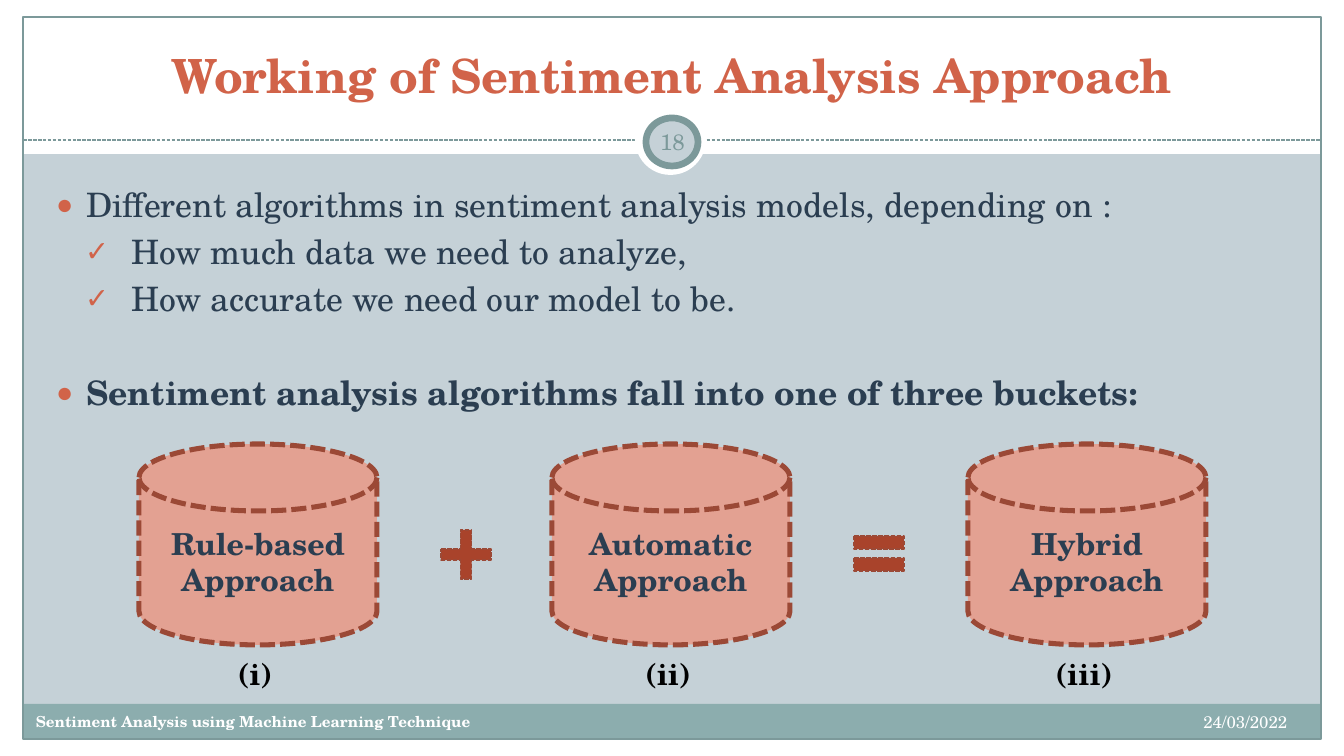
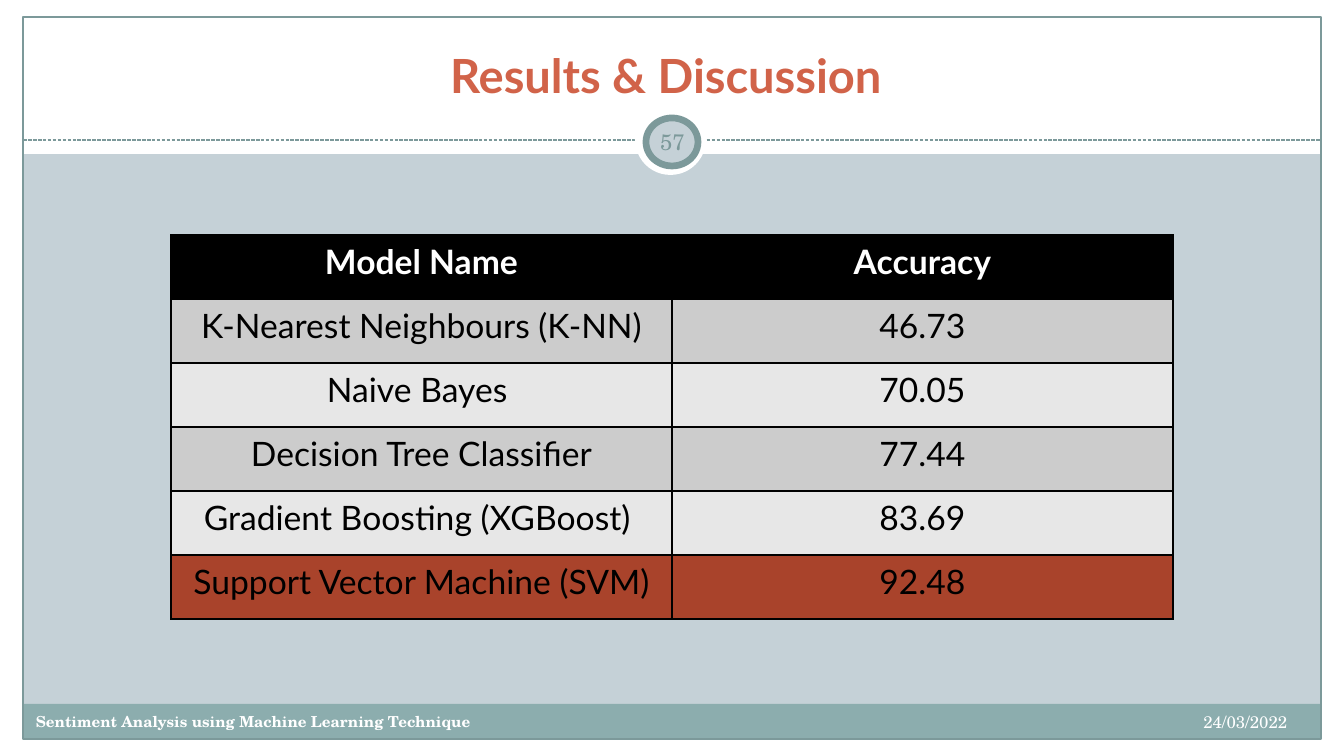
from lxml import etree
from pptx import Presentation
from pptx import util as u
from pptx.dml.color import RGBColor
from pptx.enum import dml, shapes, text
from pptx.oxml import ns

SERIF, SANS = "TeX Gyre Schola", "Lato"
PAPER, WHITE, BLACK = "C5D1D7", "FFFFFF", "000000"
TEAL, BAND, INK = "7C999A", "8CADAE", "2B3E51"
CORAL, BRICK, RUST, PINK = "D16349", "A9432B", "9B4936", "E3A192"
GREY, PALE = "CCCCCC", "E7E7E7"

FOOT = "Sentiment Analysis using Machine Learning Technique"
DATE = "24/03/2022"
DOT, TICK = ("●", 30, 30), ("✓", 75, 46)
POINTS = [
    (DOT, 4, False, "Different algorithms in sentiment analysis models, depending on :"),
    (TICK, 4, False, "How much data we need to analyze,"),
    (TICK, 4, False, "How accurate we need our model to be."),
    (DOT, 32, True, "Sentiment analysis algorithms fall into one of three buckets:"),
]
DISKS = [
    (139, ["Rule-based Approach"], "(i)"),
    (552, ["Automatic", "Approach"], "(ii)"),
    (968, ["Hybrid", "Approach"], "(iii)"),
]
SIGNS = [
    ("MATH_PLUS", (432, 521, 68, 67), [0.168]),
    ("MATH_EQUAL", (845, 516, 68, 75), [0.175, 0.118]),
]
ROWS = [
    ("Model Name", "Accuracy"),
    ("K-Nearest Neighbours (K-NN)", "46.73"),
    ("Naive Bayes ", "70.05"),
    ("Decision Tree Classifier", "77.44"),
    ("Gradient Boosting (XGBoost) ", "83.69"),
    ("Support Vector Machine (SVM)", "92.48"),
]
FILLS = [BLACK, GREY, PALE, GREY, PALE, BRICK]
PANELS = [
    ("RECTANGLE", (0, 739, 1344, 17), WHITE, None),
    ("RECTANGLE", (0, 0, 1344, 154), WHITE, None),
    ("RECTANGLE", (0, 0, 23, 756), WHITE, None),
    ("RECTANGLE", (1322, 0, 22, 756), WHITE, None),
    ("RECTANGLE", (22, 704, 1298, 34), BAND, None),
    ("RECTANGLE", (23, 17, 1298, 722), None, (TEAL, 0.75)),
]
BADGE = [
    ("OVAL", (635, 104, 71, 71), WHITE, None),
    ("OVAL", (646, 118, 52, 48), PAPER, (TEAL, 4)),
]

LEFT, MID, RIGHT = text.PP_ALIGN.LEFT, text.PP_ALIGN.CENTER, text.PP_ALIGN.RIGHT
DASH = dml.MSO_LINE.SQUARE_DOT


def px(n):
    return u.Emu(round(n * 914400 / 121))


def box(rect):
    return [px(n) for n in rect]


def rgb(code):
    return RGBColor.from_string(code)


def place(item, rect):
    item.left, item.top, item.width, item.height = box(rect)


def write(par, words, size, color, bold=False, face=SERIF, align=LEFT):
    par.alignment = align
    run = par.add_run()
    run.text = words
    font = run.font
    font.name, font.size, font.bold = face, u.Pt(size), bold
    font.color.rgb = rgb(color)


def stroke(line, color, width, dash=None):
    line.color.rgb = rgb(color)
    line.width = u.Pt(width)
    if dash:
        line.dash_style = dash


def shape(slide, kind, rect, fill, edge=None):
    form = slide.shapes.add_shape(getattr(shapes.MSO_SHAPE, kind), *box(rect))
    form.shadow.inherit = False
    if fill:
        form.fill.solid()
        form.fill.fore_color.rgb = rgb(fill)
    else:
        form.fill.background()
    if edge:
        stroke(form.line, *edge)
    else:
        form.line.fill.background()
    return form


def label(slide, rect, words, size, color, **look):
    frame = slide.shapes.add_textbox(*box(rect)).text_frame
    frame.word_wrap = True
    write(frame.paragraphs[0], words, size, color, **look)
    return frame


def dress(layout, slide):
    layout.background.fill.solid()
    layout.background.fill.fore_color.rgb = rgb(PAPER)
    place(layout.placeholders[0], (44, 25, 1255, 84))
    place(layout.placeholders[1], (44, 178, 1255, 519))
    parts = [shape(slide, *panel) for panel in PANELS]
    rule = slide.shapes.add_connector(
        shapes.MSO_CONNECTOR.STRAIGHT, *box((23, 140, 1321, 140)))
    stroke(rule.line, TEAL, 0.75, DASH)
    etree.SubElement(rule.element.spPr, ns.qn("a:effectLst"))
    parts.append(rule)
    parts += [shape(slide, *ring) for ring in BADGE]
    for spot, part in enumerate(parts, 2):
        layout.shapes.element.insert(spot, part.element)


def head(slide, words, face, page):
    frame = slide.shapes.title.text_frame
    frame.vertical_anchor = text.MSO_ANCHOR.BOTTOM
    frame.auto_size = text.MSO_AUTO_SIZE.NONE
    write(frame.paragraphs[0], words, 28, CORAL, True, face, MID)
    label(slide, (1079, 706, 220, 40), DATE, 10, WHITE, align=RIGHT)
    label(slide, (24, 706, 1033, 40), FOOT, 9, WHITE, bold=True)
    num = label(slide, (641, 118, 63, 47), page, 13.3, TEAL, align=MID)
    num.vertical_anchor = text.MSO_ANCHOR.MIDDLE
    num.margin_left = num.margin_right = px(6)


def bullet(par, mark, left, hang):
    prop = par._p.get_or_add_pPr()
    prop.set("marL", str(px(left)))
    prop.set("indent", str(-px(hang)))
    tint = etree.SubElement(prop, ns.qn("a:buClr"))
    etree.SubElement(tint, ns.qn("a:srgbClr"), val=CORAL)
    etree.SubElement(prop, ns.qn("a:buSzPct"), val="85000")
    etree.SubElement(prop, ns.qn("a:buChar"), char=mark)


def points(slide):
    frame = slide.placeholders[1].text_frame
    frame.auto_size = text.MSO_AUTO_SIZE.NONE
    for n, (mark, gap, bold, words) in enumerate(POINTS):
        par = frame.add_paragraph() if n else frame.paragraphs[0]
        par.space_before = u.Pt(gap)
        bullet(par, *mark)
        write(par, words, 20, INK, bold)


def buckets(slide):
    wide, slack = 238, 50
    for left, lines, tag in DISKS:
        disk = shape(slide, "FLOWCHART_MAGNETIC_DISK", (left, 444, wide, 201),
                     PINK, (RUST, 3, DASH))
        frame = disk.text_frame
        frame.vertical_anchor = text.MSO_ANCHOR.MIDDLE
        for n, words in enumerate(lines):
            par = frame.add_paragraph() if n else frame.paragraphs[0]
            write(par, words, 18, INK, True, align=MID)
        label(slide, (left + slack - 3, 649, wide - 2 * slack, 48), tag, 18,
              BLACK, bold=True, align=MID)
    for kind, rect, bends in SIGNS:
        sign = shape(slide, kind, rect, BRICK, (RUST, 0.9, DASH))
        for n, bend in enumerate(bends):
            sign.adjustments[n] = bend


def border(cell):
    prop = cell._tc.get_or_add_tcPr()
    for n, side in enumerate(("lnL", "lnR", "lnT", "lnB")):
        line = etree.Element(ns.qn("a:" + side), w=str(u.Pt(1)))
        fill = etree.SubElement(line, ns.qn("a:solidFill"))
        etree.SubElement(fill, ns.qn("a:srgbClr"), val=BLACK)
        prop.insert(n, line)


def scores(slide):
    high = 64
    grid = slide.shapes.add_table(
        len(ROWS), 2, *box((171, 235, 1002, high * len(ROWS)))).table
    for r, (row, fill) in enumerate(zip(ROWS, FILLS)):
        grid.rows[r].height = px(high)
        for c, words in enumerate(row):
            cell = grid.cell(r, c)
            cell.fill.solid()
            cell.fill.fore_color.rgb = rgb(fill)
            border(cell)
            write(cell.text_frame.paragraphs[0], words, 20,
                  BLACK if r else WHITE, r == 0, SANS, MID)


def main():
    deck = Presentation()
    deck.slide_width, deck.slide_height = px(1344), px(756)
    layout = deck.slide_layouts[1]
    work = deck.slides.add_slide(layout)
    dress(layout, work)
    head(work, "Working of Sentiment Analysis Approach", SERIF, "18")
    points(work)
    buckets(work)
    result = deck.slides.add_slide(layout)
    body = result.placeholders[1].element
    body.getparent().remove(body)
    head(result, "Results & Discussion ", SANS, "57")
    scores(result)
    deck.save("out.pptx")


if __name__ == "__main__":
    main()
